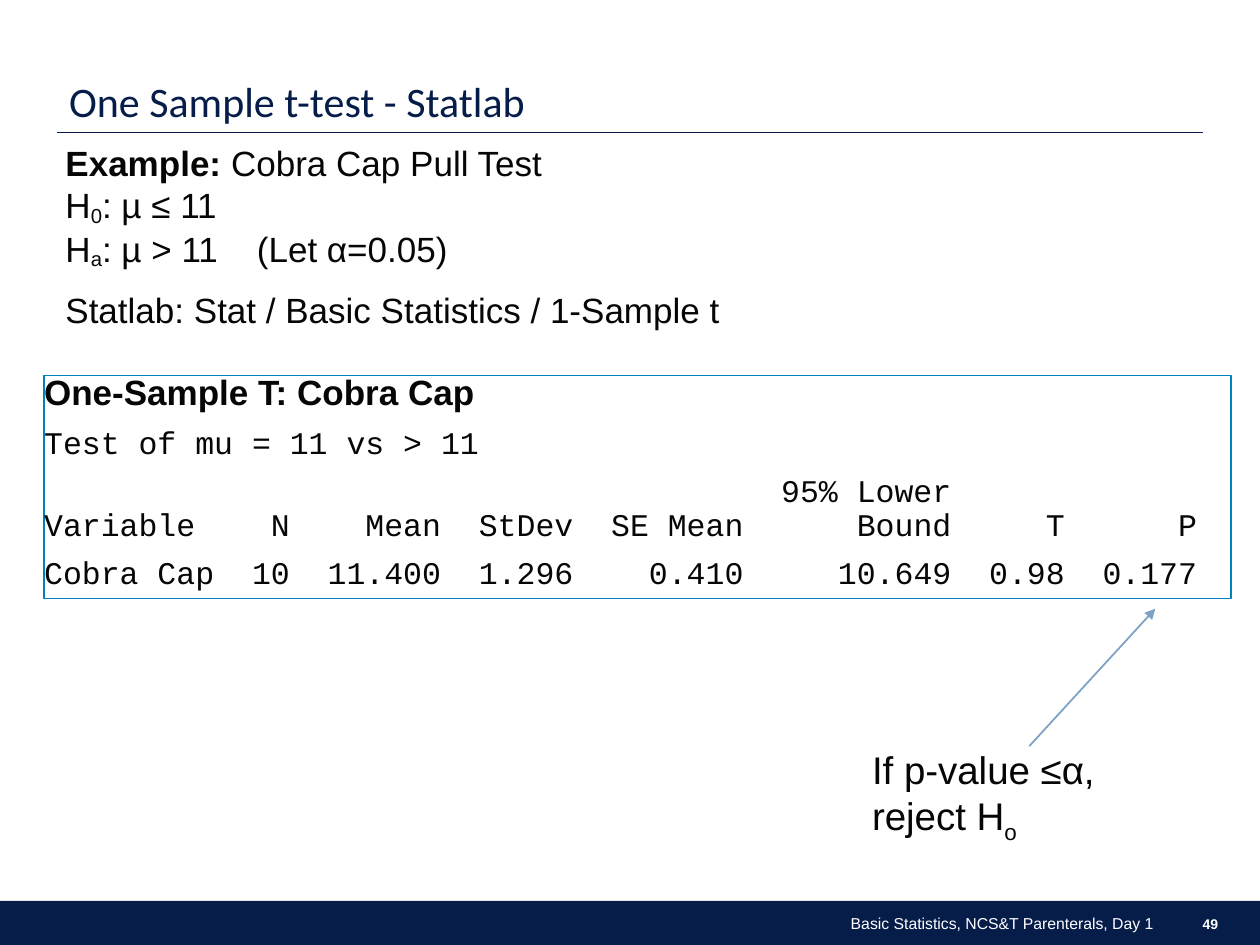
import dataclasses
import typing

import lxml.etree
import pptx
import pptx.dml.color
import pptx.enum.shapes
import pptx.enum.text
import pptx.oxml.ns
import pptx.util

Cm = pptx.util.Cm
Pt = pptx.util.Pt
ALIGN = pptx.enum.text.PP_ALIGN
ANCHOR = pptx.enum.text.MSO_ANCHOR

NAVY, BLACK, WHITE = "071D49", "070605", "FFFFFF"
BLUE, STEEL = "0082BA", "7DA1C4"
CHAR = 0.381  # width in cm of one 18 pt Courier New character
ENDS = (13, 21, 28, 37, 48, 54, 61)  # last character of each number column


@dataclasses.dataclass
class Run:
    text: str
    bold: bool = False
    base: int = 0  # baseline shift in percent
    stop: bool = False  # line break after the run


@dataclasses.dataclass
class Para:
    runs: list[Run]
    size: float
    face: str = "Arial"
    tint: str = BLACK
    align: typing.Optional[int] = None
    before: float = 0
    after: float = 0
    lead: float = 1.0
    tabs: tuple = ()  # (position in cm, "l" or "r")


def color(code: str) -> pptx.dml.color.RGBColor:
    return pptx.dml.color.RGBColor.from_string(code)


def add_tabs(para, tabs: tuple) -> None:
    props = para._p.get_or_add_pPr()
    group = lxml.etree.SubElement(props, pptx.oxml.ns.qn("a:tabLst"))
    for pos, side in tabs:
        tab = lxml.etree.SubElement(group, pptx.oxml.ns.qn("a:tab"))
        tab.set("pos", str(int(Cm(pos))))
        tab.set("algn", side)


def write(frame, paras: list[Para], anchor=ANCHOR.TOP, inset: bool = True) -> None:
    frame.word_wrap = True
    frame.auto_size = pptx.enum.text.MSO_AUTO_SIZE.NONE
    frame.vertical_anchor = anchor
    if not inset:
        frame.margin_left = frame.margin_right = 0
        frame.margin_top = frame.margin_bottom = 0
    for i, item in enumerate(paras):
        para = frame.paragraphs[0] if i == 0 else frame.add_paragraph()
        para.alignment = item.align or ALIGN.LEFT
        para.line_spacing = item.lead
        para.space_before, para.space_after = Pt(item.before), Pt(item.after)
        if item.tabs:
            add_tabs(para, item.tabs)
        for part in item.runs:
            run = para.add_run()
            run.text = part.text
            run.font.name, run.font.size = item.face, Pt(item.size)
            run.font.bold = part.bold
            run.font.color.rgb = color(item.tint)
            if part.base:
                run._r.get_or_add_rPr().set("baseline", str(part.base * 1000))
            if part.stop:
                para.add_line_break()


def add_text(slide, x: float, y: float, w: float, h: float, paras: list[Para], **opts):
    box = slide.shapes.add_textbox(Cm(x), Cm(y), Cm(w), Cm(h))
    write(box.text_frame, paras, **opts)
    return box


def add_rect(slide, x: float, y: float, w: float, h: float, fill: str = "", edge: str = ""):
    kind = pptx.enum.shapes.MSO_SHAPE.RECTANGLE
    rect = slide.shapes.add_shape(kind, Cm(x), Cm(y), Cm(w), Cm(h))
    rect.shadow.inherit = False
    if fill:
        rect.fill.solid()
        rect.fill.fore_color.rgb = color(fill)
    else:
        rect.fill.background()
    if edge:
        rect.line.color.rgb = color(edge)
        rect.line.width = Pt(0.75)
    else:
        rect.line.fill.background()
    return rect


def add_line(slide, x1: float, y1: float, x2: float, y2: float,
             tint: str, width: float, arrow: bool = False) -> None:
    kind = pptx.enum.shapes.MSO_CONNECTOR.STRAIGHT
    line = slide.shapes.add_connector(kind, Cm(x1), Cm(y1), Cm(x2), Cm(y2))
    line.line.color.rgb = color(tint)
    line.line.width = Pt(width)
    if arrow:
        tip = lxml.etree.SubElement(line.line._get_or_add_ln(), pptx.oxml.ns.qn("a:tailEnd"))
        tip.set("type", "triangle")
    lxml.etree.SubElement(line._element.spPr, pptx.oxml.ns.qn("a:effectLst"))


def row(cells: list[str], ends: tuple = ENDS, after: float = 8) -> Para:
    """One line of the printout, numbers set right at the column ends."""
    tabs = tuple((end * CHAR, "r") for end in ends)
    return Para([Run("\t".join(cells))], 18, "Courier New", after=after, lead=0.9, tabs=tabs)


def main() -> None:
    deck = pptx.Presentation()
    deck.slide_width, deck.slide_height = Cm(25.4), Cm(19.05)
    slide = deck.slides.add_slide(deck.slide_layouts[5])

    # Footer bar and title with its rule
    add_rect(slide, 0, 18.16, 25.4, 0.89, fill=NAVY)
    add_line(slide, 1.14, 2.67, 24.26, 2.67, NAVY, 0.75)
    title = slide.shapes.title
    title.left, title.top, title.width, title.height = Cm(1.14), Cm(0.64), Cm(23.11), Cm(2.03)
    write(title.text_frame,
          [Para([Run("One Sample t-test - Statlab")], 24, "Calibri", NAVY, lead=0.9)],
          anchor=ANCHOR.BOTTOM)

    # Hypotheses and menu steps
    add_text(slide, 1.07, 2.72, 23.06, 4.06, [
        Para([Run("Example:", bold=True), Run(" Cobra Cap Pull Test", stop=True),
              Run("H"), Run("0", base=-14), Run(": µ ≤ 11", stop=True),
              Run("H"), Run("a", base=-14), Run(": µ > 11\t(Let α=0.05)")],
             20, tabs=((3.86, "l"),)),
        Para([Run("Statlab: Stat / Basic Statistics / 1-Sample t")], 20, before=10),
    ])

    # Printout of the test
    panel = add_rect(slide, 0.89, 7.57, 23.93, 4.5, edge=BLUE)
    write(panel.text_frame, [
        Para([Run("One-Sample T: Cobra Cap", bold=True)], 20, after=8, lead=0.9),
        row(["Test of mu = 11 vs > 11"], ends=()),
        row(["", "95% Lower"], ends=(48,), after=0),
        row(["Variable", "N", "Mean", "StDev", "SE Mean", "Bound", "T", "P"]),
        row(["Cobra Cap", "10", "11.400", "1.296", "0.410", "10.649", "0.98", "0.177"]),
    ], inset=False)

    # Decision rule, pointing at the p-value
    add_line(slide, 20.75, 15.04, 23.29, 12.27, STEEL, 1, arrow=True)
    add_text(slide, 17.58, 15.04, 4.9, 1.85,
             [Para([Run("If p-value ≤α, reject H"), Run("o", base=-25)], 22)], inset=False)

    # Footer text and page number
    add_text(slide, 8.26, 18.36, 15.24, 0.51,
             [Para([Run("Basic Statistics, NCS&T Parenterals, Day 1")], 9,
                   tint=WHITE, align=ALIGN.RIGHT)], anchor=ANCHOR.MIDDLE)
    page = add_text(slide, 23.57, 18.39, 0.99, 0.46,
                    [Para([Run("49", bold=True)], 8, tint=WHITE, align=ALIGN.RIGHT)],
                    anchor=ANCHOR.MIDDLE)
    page.text_frame.margin_right = 0

    deck.save("out.pptx")


if __name__ == "__main__":
    main()
